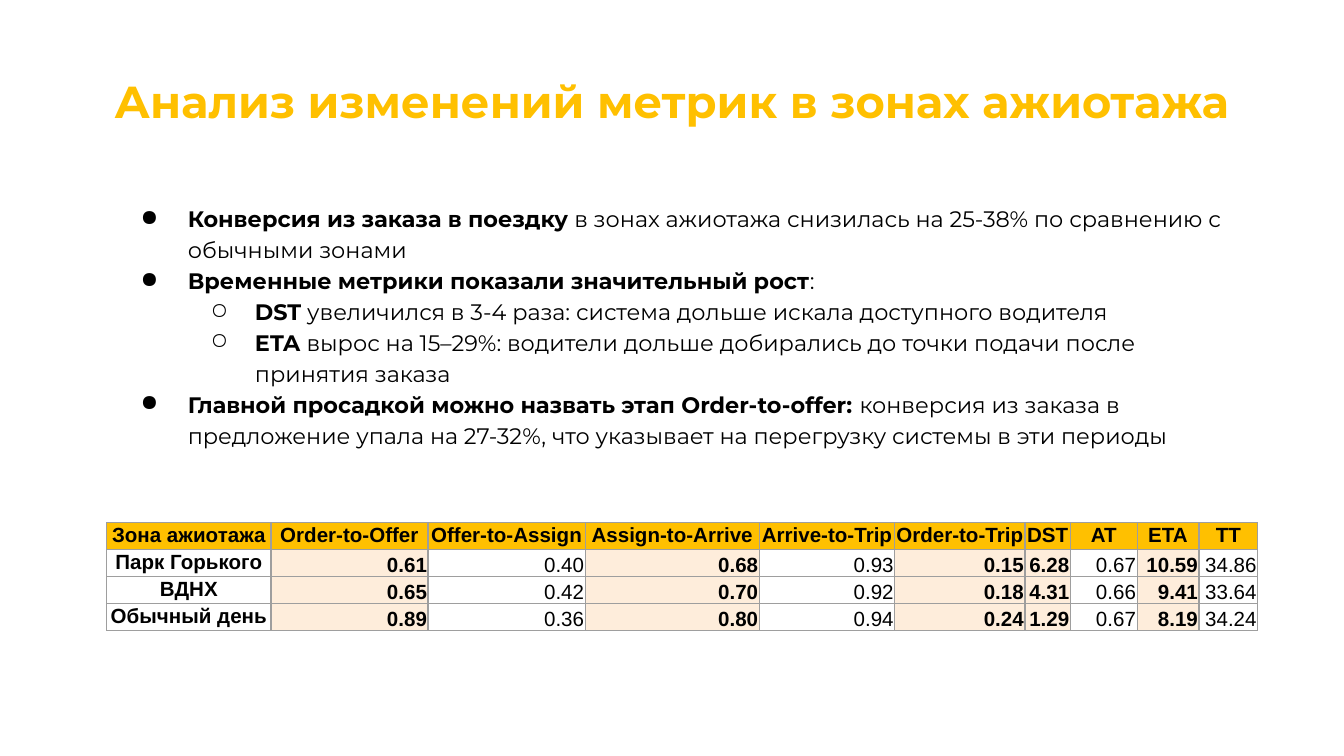
"""Build a slide on how ride metrics change in high-demand zones."""
from dataclasses import dataclass

import lxml.etree
import pptx
import pptx.dml.color
import pptx.enum.text
import pptx.oxml.ns
import pptx.util

Cm = pptx.util.Cm
Align = pptx.enum.text.PP_ALIGN
Anchor = pptx.enum.text.MSO_ANCHOR
BLACK, WHITE, AMBER, PEACH, GRAY = "000000", "FFFFFF", "FFC000", "FEEDDB", "9E9E9E"


@dataclass(frozen=True)
class Bullet:
    lead: str
    rest: str
    level: int = 0


@dataclass(frozen=True)
class Column:
    header: str
    width: float
    values: tuple[str, str, str]
    highlighted: bool = False


BULLETS = [
    Bullet("Конверсия из заказа в поездку",
           " в зонах ажиотажа снизилась на 25-38% по сравнению с обычными зонами"),
    Bullet("Временные метрики показали значительный рост", ":"),
    Bullet("DST", " увеличился в 3-4 раза: система дольше искала доступного водителя", 1),
    Bullet("ETA ", "вырос на 15–29%: водители дольше добирались до точки подачи "
                   "после принятия заказа", 1),
    Bullet("Главной просадкой можно назвать этап Order-to-offer: ",
           "конверсия из заказа в предложение упала на 27-32%, "
           "что указывает на перегрузку системы в эти периоды"),
]
ZONES = Column("Зона ажиотажа", 3.1, ("Парк Горького", "ВДНХ", "Обычный день"))
METRICS = [
    Column("Order-to-Offer", 2.97, ("0.61", "0.65", "0.89"), True),
    Column("Offer-to-Assign", 2.97, ("0.40", "0.42", "0.36")),
    Column("Assign-to-Arrive", 3.29, ("0.68", "0.70", "0.80"), True),
    Column("Arrive-to-Trip", 2.56, ("0.93", "0.92", "0.94")),
    Column("Order-to-Trip", 2.46, ("0.15", "0.18", "0.24"), True),
    Column("DST", 0.86, ("6.28", "4.31", "1.29"), True),
    Column("AT", 1.26, ("0.67", "0.66", "0.67")),
    Column("ETA", 1.17, ("10.59", "9.41", "8.19"), True),
    Column("TT", 1.11, ("34.86", "33.64", "34.24")),
]


def rgb(color: str) -> pptx.dml.color.RGBColor:
    """Turn a hex string into a colour."""
    return pptx.dml.color.RGBColor.from_string(color)


def add_text(paragraph, text: str, *, size: float, font: str = "Montserrat",
             color: str = BLACK, bold: bool = False) -> None:
    """Append a formatted run to a paragraph."""
    run = paragraph.add_run()
    run.text = text
    run.font.size = pptx.util.Pt(size)
    run.font.name = font
    run.font.bold = bold
    run.font.color.rgb = rgb(color)


def add_child(parent, tag: str, **attributes: str):
    """Append a DrawingML element to its parent."""
    return lxml.etree.SubElement(parent, pptx.oxml.ns.qn(tag), attributes)


def set_frame(shape, left: float, top: float, width: float, height: float):
    """Place a shape and return its text frame with even margins."""
    shape.left, shape.top, shape.width, shape.height = map(Cm, (left, top, width, height))
    frame = shape.text_frame
    frame.word_wrap = True
    frame.auto_size = pptx.enum.text.MSO_AUTO_SIZE.NONE
    frame.vertical_anchor = Anchor.TOP
    frame.margin_left = frame.margin_right = frame.margin_top = frame.margin_bottom = Cm(0.25)
    return frame


def add_bullet(paragraph, bullet: Bullet) -> None:
    """Write one bulleted paragraph with a bold lead."""
    paragraph.level = bullet.level
    paragraph.line_spacing = 1.15
    properties = paragraph._p.get_or_add_pPr()
    properties.set("marL", str(Cm(1.27 * (bullet.level + 1))))
    properties.set("indent", str(Cm((-0.89, -0.84)[bullet.level])))
    add_child(add_child(properties, "a:buClr"), "a:srgbClr", val=BLACK)
    add_child(properties, "a:buChar", char="●○"[bullet.level])
    add_text(paragraph, bullet.lead, size=12, bold=True)
    add_text(paragraph, bullet.rest, size=12)


def fill_cell(cell, text: str, *, fill: str, bold: bool, numeric: bool) -> None:
    """Write, fill and border one table cell."""
    cell.margin_left = cell.margin_right = cell.margin_top = Cm(0.02)
    cell.margin_bottom = 0
    cell.vertical_anchor = Anchor.BOTTOM if numeric else Anchor.TOP
    paragraph = cell.text_frame.paragraphs[0]
    paragraph.alignment = Align.RIGHT if numeric else Align.CENTER
    add_text(paragraph, text, size=11, font="Arial", bold=bold)
    properties = cell._tc.get_or_add_tcPr()
    for side in ("a:lnL", "a:lnR", "a:lnT", "a:lnB"):
        line = add_child(properties, side, w=str(pptx.util.Pt(0.75)))
        add_child(add_child(line, "a:solidFill"), "a:srgbClr", val=GRAY)
    cell.fill.solid()
    cell.fill.fore_color.rgb = rgb(fill)


def add_metrics_table(slide, columns: list[Column]) -> None:
    """Draw the table of metrics by zone."""
    row_count = len(ZONES.values) + 1
    width = sum(column.width for column in columns)
    table = slide.shapes.add_table(row_count, len(columns), Cm(2.02), Cm(9.88),
                                   Cm(width), Cm(0.51 * row_count)).table
    table.first_row = table.horz_banding = False
    for index, column in enumerate(columns):
        table.columns[index].width = Cm(column.width)
        fill_cell(table.cell(0, index), column.header, fill=AMBER, bold=True, numeric=False)
        for row, value in enumerate(column.values, start=1):
            fill_cell(table.cell(row, index), value,
                      fill=PEACH if column.highlighted else WHITE,
                      bold=column.highlighted or column is ZONES,
                      numeric=column is not ZONES)


def main() -> None:
    """Build and save the presentation."""
    presentation = pptx.Presentation()
    presentation.slide_width, presentation.slide_height = Cm(25.4), Cm(14.29)
    slide = presentation.slides.add_slide(presentation.slide_layouts[5])

    title = set_frame(slide.shapes.title, 1.25, 1.14, 22.89, 1.55).paragraphs[0]
    title.alignment = Align.CENTER
    add_text(title, "Анализ изменений метрик в зонах ажиотажа",
             size=24, color=AMBER, bold=True)

    findings = set_frame(slide.shapes.add_textbox(0, 0, 0, 0), 2.03, 3.56, 21.36, 6.58)
    for index, bullet in enumerate(BULLETS):
        add_bullet(findings.add_paragraph() if index else findings.paragraphs[0], bullet)

    add_metrics_table(slide, [ZONES, *METRICS])
    presentation.save("out.pptx")


if __name__ == "__main__":
    main()
